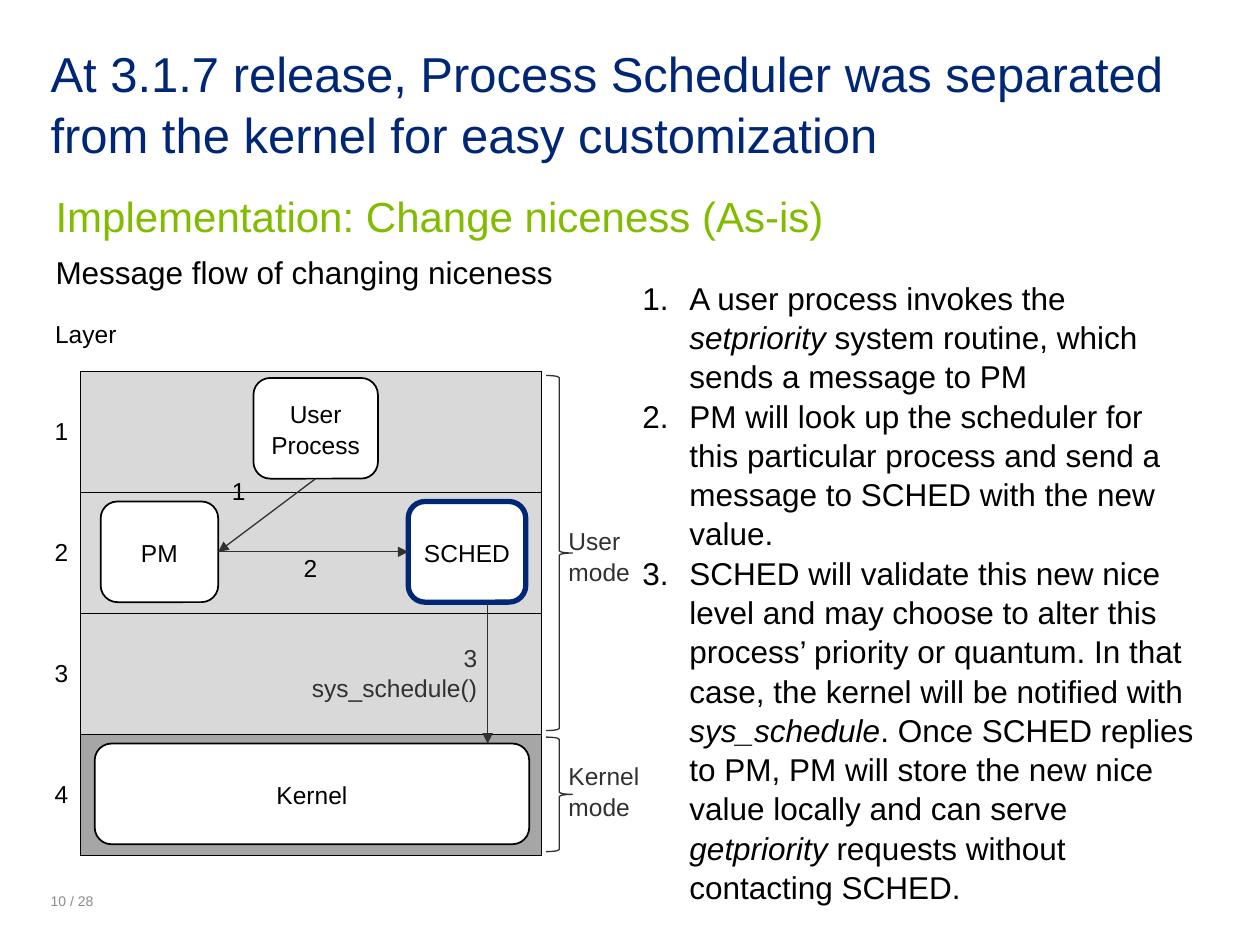
from dataclasses import dataclass

from lxml import etree
from pptx import Presentation
from pptx import util as u
from pptx.dml.color import RGBColor
from pptx.enum import shapes, text
from pptx.oxml.ns import qn


@dataclass(frozen=True)
class Theme:
    font: str = "Arial"
    navy: str = "002776"
    green: str = "81BC01"
    black: str = "000000"
    ink: str = "313131"
    muted: str = "8C8C8C"
    white: str = "FFFFFF"
    user_layer: str = "D9D9D9"
    kernel_layer: str = "A6A6A6"
    title: int = 28
    subtitle: int = 24
    body: int = 18
    label: int = 14
    footer: int = 8


theme = Theme()
LEFT, CENTER, RIGHT = text.PP_ALIGN.LEFT, text.PP_ALIGN.CENTER, text.PP_ALIGN.RIGHT
TOP, MIDDLE, BOTTOM = text.MSO_ANCHOR.TOP, text.MSO_ANCHOR.MIDDLE, text.MSO_ANCHOR.BOTTOM


def write(frame, lines, size, color, align=LEFT, anchor=TOP, spacing=1.04, margin=0):
    """Fill a text frame; a line is a list of runs, and every second run is italic."""
    frame.word_wrap = True
    frame.auto_size = text.MSO_AUTO_SIZE.NONE
    frame.vertical_anchor = anchor
    frame.margin_left = frame.margin_right = u.Cm(margin)
    frame.margin_top = frame.margin_bottom = u.Cm(margin)
    for i, runs in enumerate(lines):
        paragraph = frame.paragraphs[0] if i == 0 else frame.add_paragraph()
        paragraph.alignment = align
        paragraph.line_spacing = spacing
        paragraph.space_before = u.Pt(0)
        for j, words in enumerate(runs):
            run = paragraph.add_run()
            run.text = words
            if j % 2:
                run.font.italic = True
        paragraph.font.name = theme.font
        paragraph.font.size = u.Pt(size)
        paragraph.font.color.rgb = RGBColor.from_string(color)


def style_line(line, color, width):
    line.color.rgb = RGBColor.from_string(color)
    line.width = u.Pt(width)


deck = Presentation()
deck.slide_width, deck.slide_height = u.Cm(25.4), u.Cm(19.05)
slide = deck.slides.add_slide(deck.slide_layouts[5])

# Title
title = slide.shapes.title
title.left, title.top, title.width, title.height = u.Cm(1.02), u.Cm(0.81), u.Cm(23.37), u.Cm(1.3)
write(title.text_frame,
      [["At 3.1.7 release, Process Scheduler was separated from the kernel for easy customization"]],
      theme.title, theme.navy, spacing=1.05)

# Layer table
layer_rows = slide.shapes.add_table(5, 2, u.Cm(0.86), u.Cm(6.02), u.Cm(10.06), u.Cm(11.23)).table
layer_rows.first_row = layer_rows.horz_banding = False
layer_rows._tbl.tblPr.find(qn("a:tableStyleId")).text = "{2D5ABB26-0587-4C30-8999-92F81FD0307C}"
layer_rows.columns[0].width, layer_rows.columns[1].width = u.Cm(0.76), u.Cm(9.3)
layer_rows.rows[0].height = u.Cm(1.47)
heading = layer_rows.cell(0, 0)
heading.merge(layer_rows.cell(0, 1))
heading.fill.background()
for layer in range(5):
    number = layer_rows.cell(layer, 0)
    number.vertical_anchor = MIDDLE
    number.margin_left = number.margin_right = u.Cm(0.05 if layer else 0.25)
    paragraph = number.text_frame.paragraphs[0]
    paragraph.text = str(layer) if layer else "Layer"
    paragraph.alignment = CENTER if layer else LEFT
    paragraph.font.name = theme.font
    paragraph.font.size = u.Pt(theme.label)
    paragraph.font.color.rgb = RGBColor.from_string(theme.black)
    if layer == 0:
        continue
    layer_rows.rows[layer].height = u.Cm(2.44)
    number.fill.background()
    band = layer_rows.cell(layer, 1)
    band.fill.solid()
    band.fill.fore_color.rgb = RGBColor.from_string(
        theme.kernel_layer if layer == 4 else theme.user_layer)
    properties = band._tc.get_or_add_tcPr()
    for i, side in enumerate(("a:lnL", "a:lnR", "a:lnT", "a:lnB")):
        border = etree.Element(qn(side), w=str(u.Pt(1)))
        fill = etree.SubElement(border, qn("a:solidFill"))
        etree.SubElement(fill, qn("a:srgbClr"), val=theme.black)
        properties.insert(i, border)

# Components
components = {}
for name, lines, x, y, w, edge, thickness, inset in (
    ("PM", [["PM"]], 2.03, 10.11, 2.37, theme.black, 1, 0.25),
    ("SCHED", [["SCHED"]], 8.23, 10.11, 2.37, theme.navy, 3, 0.1),
    ("User", [["User"], ["Process"]], 5.11, 7.62, 2.51, theme.black, 1, 0.25),
    ("Kernel", [["Kernel"]], 1.91, 14.99, 8.76, theme.black, 1, 0.25),
):
    box = slide.shapes.add_shape(shapes.MSO_SHAPE.ROUNDED_RECTANGLE,
                                 u.Cm(x), u.Cm(y), u.Cm(w), u.Cm(2.03))
    box.shadow.inherit = False
    box.fill.solid()
    box.fill.fore_color.rgb = RGBColor.from_string(theme.white)
    style_line(box.line, edge, thickness)
    write(box.text_frame, lines, theme.label, theme.black, CENTER, MIDDLE, 1.06, inset)
    components[name] = box

# Mode braces
for y, h in ((7.57, 7.16), (14.86, 2.31)):
    brace = slide.shapes.add_shape(shapes.MSO_SHAPE.RIGHT_BRACE,
                                   u.Cm(11.01), u.Cm(y), u.Cm(0.53), u.Cm(h))
    brace.shadow.inherit = False
    brace.fill.background()
    style_line(brace.line, theme.ink, 0.75)

# Message arrows
for x1, y1, x2, y2, sender, receiver in (
    (6.37, 9.65, 4.4, 11.13, ("User", 2), ("PM", 3)),
    (4.4, 11.13, 8.23, 11.13, ("PM", 3), ("SCHED", 1)),
    (9.83, 12.14, 9.83, 14.99, None, None),
):
    message = slide.shapes.add_connector(shapes.MSO_CONNECTOR.STRAIGHT,
                                         u.Cm(x1), u.Cm(y1), u.Cm(x2), u.Cm(y2))
    if sender:
        message.begin_connect(components[sender[0]], sender[1])
        message.end_connect(components[receiver[0]], receiver[1])
    style_line(message.line, theme.ink, 0.75)
    etree.SubElement(message.line._get_or_add_ln(), qn("a:tailEnd"), type="triangle")
    etree.SubElement(message._element.spPr, qn("a:effectLst"))

# Headings, diagram labels and page number
for lines, x, y, w, h, size, color, align, anchor in (
    ([["Implementation: Change niceness (As-is)"]], 1.12, 3.81, 22.86, 0.89,
     theme.subtitle, theme.green, LEFT, TOP),
    ([["Message flow of changing niceness"]], 1.12, 5.08, 10.41, 0.76,
     theme.body, theme.black, LEFT, TOP),
    ([["User mode"]], 11.46, 10.59, 1.52, 1.19, theme.label, theme.ink, LEFT, TOP),
    ([["Kernel mode"]], 11.46, 15.32, 1.52, 1.19, theme.label, theme.ink, LEFT, TOP),
    ([["1"]], 4.62, 9.58, 0.38, 0.61, theme.label, theme.black, CENTER, TOP),
    ([["2"]], 6.07, 11.13, 0.38, 0.61, theme.label, theme.black, CENTER, TOP),
    ([["3"], ["sys_schedule()"]], 5.61, 12.93, 4.01, 1.19, theme.label, theme.ink, RIGHT, TOP),
    ([["10 / 28"]], 1.02, 18.01, 1.27, 0.33, theme.footer, theme.muted, LEFT, BOTTOM),
):
    label = slide.shapes.add_textbox(u.Cm(x), u.Cm(y), u.Cm(w), u.Cm(h))
    write(label.text_frame, lines, size, color, align, anchor)

# Numbered explanation
steps = slide.shapes.add_textbox(u.Cm(12.7), u.Cm(5.46), u.Cm(11.68), u.Cm(12.57)).text_frame
write(steps, [
    ["A user process invokes the ", "setpriority",
     " system routine, which sends a message to PM"],
    ["PM will look up the scheduler for this particular process and send a message to SCHED "
     "with the new value."],
    ["SCHED will validate this new nice level and may choose to alter this process’ priority "
     "or quantum. In that case, the kernel will be notified with ", "sys_schedule",
     ". Once SCHED replies to PM, PM will store the new nice value locally and can serve ",
     "getpriority", " requests without contacting SCHED."],
], theme.body, theme.black)
steps.margin_left = steps.margin_right = u.Cm(0.25)
steps.margin_top = steps.margin_bottom = u.Cm(0.13)
for step in steps.paragraphs:
    properties = step._p.get_or_add_pPr()
    properties.set("marL", str(u.Cm(0.95)))
    properties.set("indent", str(-u.Cm(0.95)))
    numbering = etree.Element(qn("a:buAutoNum"), type="arabicPeriod")
    properties.find(qn("a:defRPr")).addprevious(numbering)

deck.save("out.pptx")
